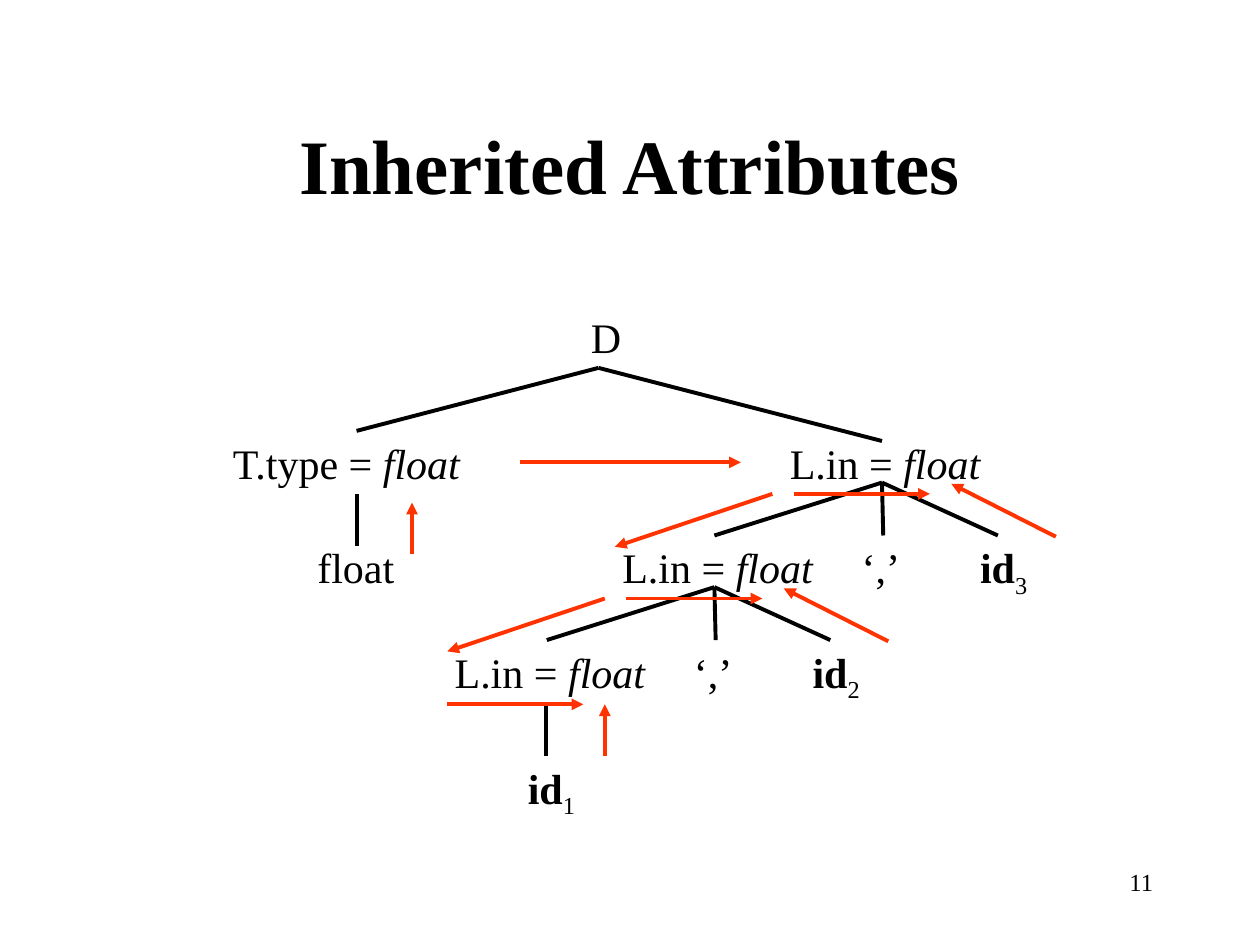
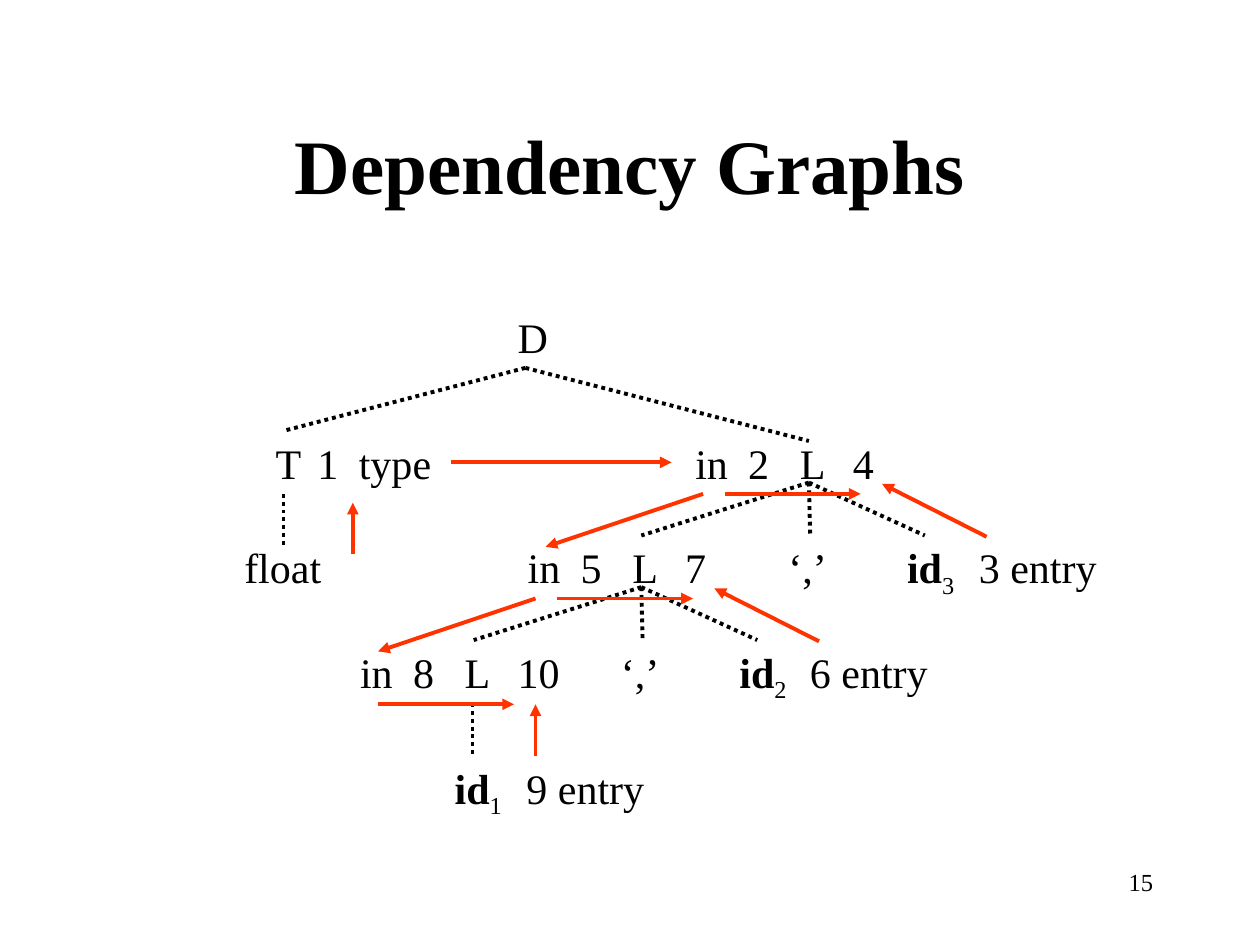
from dataclasses import dataclass

from lxml import etree
from pptx import Presentation
from pptx.dml.color import RGBColor
from pptx.enum.dml import MSO_LINE
from pptx.enum.shapes import MSO_CONNECTOR
from pptx.enum.text import MSO_ANCHOR, MSO_AUTO_SIZE, PP_ALIGN
from pptx.oxml.ns import qn
from pptx.util import Inches, Pt

STRAIGHT = MSO_CONNECTOR.STRAIGHT
DOTTED = MSO_LINE.ROUND_DOT
MIDDLE = MSO_ANCHOR.MIDDLE
GROW = MSO_AUTO_SIZE.SHAPE_TO_FIT_TEXT
LEFT, CENTER, RIGHT = PP_ALIGN.LEFT, PP_ALIGN.CENTER, PP_ALIGN.RIGHT
TOP_SIDE = 0


@dataclass(frozen=True)
class Theme:
    font: str = "Times New Roman"
    ink: RGBColor = RGBColor(0x00, 0x00, 0x00)
    flow: RGBColor = RGBColor(0xFF, 0x33, 0x00)
    title_size: int = 44
    label_size: int = 24
    number_size: int = 14
    line_width: float = 2.25


THEME = Theme()

# The list of L nodes runs down and to the left in equal steps
STEP_X, STEP_Y = -1.33, 0.83
ROW_TOP = 3.42
ID_ROW_TOP = 6
TREE_SHIFT = -0.58
FLOW_SHIFT = -0.55
# Spare width that keeps each label on one line
SLACK = 0.04

BOLD = {"bold": True}
ITALIC = {"italic": True}


# Text
def add_text(page, place, spans, size, align=LEFT, **frame_format):
    box = page.shapes.add_textbox(*(Inches(value) for value in place))
    for name, value in frame_format.items():
        setattr(box.text_frame, name, value)
    para = box.text_frame.paragraphs[0]
    para.alignment = align
    for text, style in spans:
        span = para.add_run()
        span.text = text
        span.font.color.rgb = THEME.ink
        for name, value in ({"name": THEME.font, "size": Pt(size)} | style).items():
            setattr(span.font, name, value)
    return box


def add_label(page, left, top, width, *spans, height=0.5):
    return add_text(page, (left, top, width + SLACK, height), spans,
                    THEME.label_size, word_wrap=False, auto_size=GROW)


def add_tabbed_label(page, left, top, width, text, stop):
    box = add_label(page, left, top, width, (text, {}))
    properties = box.text_frame.paragraphs[0]._p.get_or_add_pPr()
    tabs = etree.SubElement(properties, qn("a:tabLst"))
    etree.SubElement(tabs, qn("a:tab"), pos=str(Inches(stop)), algn="l")


def add_identifier(page, left, top, index):
    box = add_label(page, left, top, 0.57, ("id", BOLD), (str(index), {}), height=0.56)
    subscript = box.text_frame.paragraphs[0].runs[-1]
    subscript._r.get_or_add_rPr().set("baseline", "-25000")


# Lines
def add_line(page, start, end, color=THEME.ink, dash=None):
    line = page.shapes.add_connector(
        STRAIGHT, *(Inches(value) for value in (*start, *end)))
    line.line.color.rgb = color
    line.line.width = Pt(THEME.line_width)
    if dash:
        line.line.dash_style = dash
    etree.SubElement(line._element.spPr, qn("a:effectLst"))
    return line


def add_arrow(page, start, end):
    arrow = add_line(page, start, end, THEME.flow)
    etree.SubElement(arrow.line._get_or_add_ln(), qn("a:tailEnd"), type="triangle")


# Parts that both slides share
def add_page(deck, title, number):
    page = deck.slides.add_slide(deck.slide_layouts[6])
    add_text(page, (0.75, 0.67, 8.5, 1.25), [(title, BOLD)], THEME.title_size,
             CENTER, word_wrap=True, vertical_anchor=MIDDLE)
    add_text(page, (7.17, 6.83, 2.08, 0.5), [(number, {})], THEME.number_size,
             RIGHT, word_wrap=True)
    return page


def add_tree(page, shift=0, dash=None):
    def edge(start, end):
        return add_line(page, (start[0] + shift, start[1]),
                        (end[0] + shift, end[1]), dash=dash)

    add_label(page, 4.59 + shift, 2.42, 0.44, ("D", {}))
    add_label(page, 2.42 + shift, 4.25, 0.81, ("float", {}))
    add_identifier(page, 4.09 + shift, ID_ROW_TOP, 1)
    for end in ((2.83, 3.42), (7, 3.5)):
        edge((4.75, 2.92), end)
    edge((2.83, 3.92), (2.83, 4.33))
    edge((4.33, 5.58), (4.33, 6))

    for level in range(2):
        dx, dy = level * STEP_X, level * STEP_Y
        child_top = ROW_TOP + STEP_Y + dy
        comma = add_label(page, 6.74 + dx + shift, child_top, 0.5, ("‘,’", {}))
        add_identifier(page, 7.68 + dx + shift, child_top, 3 - level)
        node = (7 + dx, 3.83 + dy)
        edge(node, (7 + dx, child_top)).end_connect(comma, TOP_SIDE)
        for reach in (STEP_X, 0.92):
            edge(node, (node[0] + reach, child_top))


def add_flow(page, type_x, shift=0):
    def arrow(start, end):
        add_arrow(page, (start[0] + shift, start[1]), (end[0] + shift, end[1]))

    add_arrow(page, (type_x, 4.4), (type_x, 3.99))
    arrow((4.13, 3.67), (5.88, 3.67))
    for level in range(2):
        dx, dy = level * STEP_X, level * STEP_Y
        for start, end in (((6.13, 3.92), (4.88, 4.34)),
                           ((8.38, 4.26), (7.55, 3.84)),
                           ((6.3, 3.92), (7.38, 3.92))):
            arrow((start[0] + dx, start[1] + dy), (end[0] + dx, end[1] + dy))
    arrow((3.55, 5.59), (4.63, 5.59))
    arrow((4.8, 6), (4.8, 5.59))


# Slides
def add_inherited_attributes(deck):
    page = add_page(deck, "Inherited Attributes", "11")
    add_label(page, 1.75, ROW_TOP, 2.02, ("T.type = ", {}), ("float", ITALIC))
    for level in range(3):
        add_label(page, 6.17 + level * STEP_X, ROW_TOP + level * STEP_Y, 1.71,
                  ("L.in = ", {}), ("float", ITALIC))
    add_tree(page)
    add_flow(page, 3.27)


def add_dependency_graphs(deck):
    page = add_page(deck, "Dependency Graphs", "15")
    add_label(page, 2.09, ROW_TOP, 0.4, ("T", {}))
    add_tabbed_label(page, 2.42, ROW_TOP, 1.1, "1\ttype", 0.33)
    nodes = (("2", "4", 0.36), ("5", "7", 0.36), ("8", "10", 0.53))
    for level, (inherited, entered, width) in enumerate(nodes):
        dx, top = level * STEP_X, ROW_TOP + level * STEP_Y
        add_tabbed_label(page, 5.42 + dx, top, 0.79, f"in\t{inherited}", 0.42)
        add_label(page, 6.25 + dx, top, 0.4, ("L", {}))
        add_label(page, 6.67 + dx, top, width, (entered, {}))
    entries = ((7.67, ROW_TOP + STEP_Y, 3), (6.33, ROW_TOP + 2 * STEP_Y, 6),
               (4.08, ID_ROW_TOP, 9))
    for left, top, index in entries:
        add_label(page, left, top, 1.13, (f"{index} entry", {}))
    add_tree(page, TREE_SHIFT, DOTTED)
    add_flow(page, 2.8, FLOW_SHIFT)


def main():
    deck = Presentation()
    deck.slide_width, deck.slide_height = Inches(10), Inches(7.5)
    add_inherited_attributes(deck)
    add_dependency_graphs(deck)
    deck.save("out.pptx")


if __name__ == "__main__":
    main()
